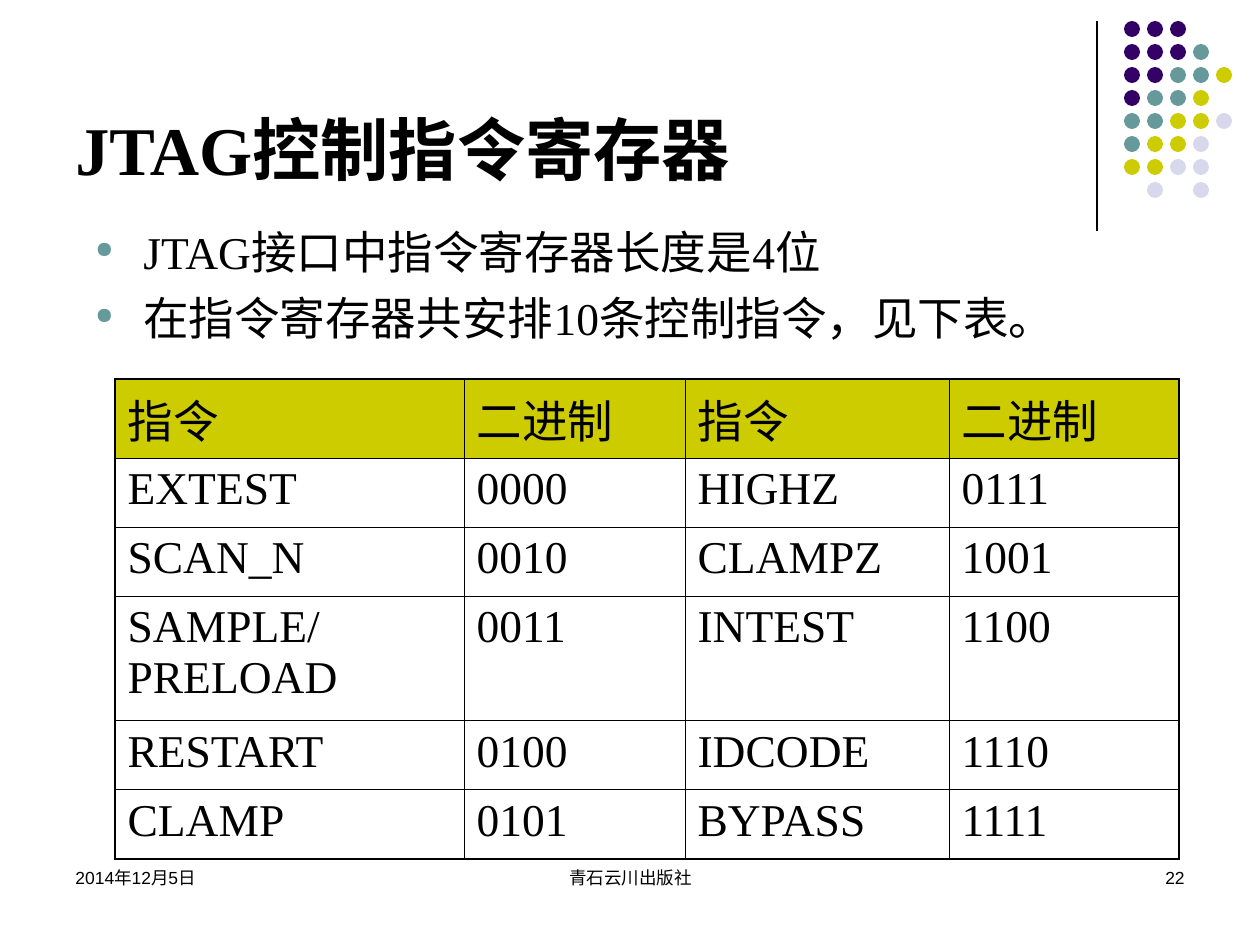
"""Build the slide on the JTAG control instruction register."""
from lxml import etree
from pptx import Presentation
from pptx import util as u
from pptx.dml.color import RGBColor
from pptx.enum import shapes, text
from pptx.oxml import ns

TITLE = "JTAG控制指令寄存器"
POINTS = ["JTAG接口中指令寄存器长度是4位", "在指令寄存器共安排10条控制指令，见下表。"]
INSTRUCTIONS = [
    ("指令", "二进制", "指令", "二进制"),
    ("EXTEST", "0000", "HIGHZ", "0111"),
    ("SCAN_N", "0010", "CLAMPZ", "1001"),
    ("SAMPLE/PRELOAD", "0011", "INTEST", "1100"),
    ("RESTART", "0100", "IDCODE", "1110"),
    ("CLAMP", "0101", "BYPASS", "1111"),
]
FOOTERS = [
    ("青石云川出版社", (431, 861, 399, 63), text.PP_ALIGN.CENTER),
    ("22", (903, 861, 294, 63), text.PP_ALIGN.RIGHT),
    ("2014年12月5日", (63, 861, 294, 63), text.PP_ALIGN.LEFT),
]
DOTS = ["PPP", "PPPT", "PPTTY", "PTTY", "TTYYL", "TYYL", "YYLL", " L L"]
COLORS = {"P": "330066", "T": "669999", "Y": "CCCC00", "L": "D8D8EC", "ink": "000000"}

COLUMN_WIDTHS = [349, 221, 264, 230]
ROW_HEIGHTS = [79, 69, 69, 125, 69, 69]
DOT_LEFT, DOT_TOP, DOT_SIZE, DOT_PITCH = 1124, 21, 16, 23
BULLET_INDENT = 48
INNER_BORDER, OUTER_BORDER = u.Pt(0.45), u.Pt(1.08)

TITLE_FONT = {"name": "Times New Roman", "size": u.Pt(39), "bold": True}
BODY_FONT = {"name": "Times New Roman", "size": u.Pt(26), "bold": False}
FOOTER_FONT = {"name": "Arial", "size": u.Pt(10), "bold": False}


def px(length):
    return round(length * 914400 / 126)


def box(*lengths):
    return [px(length) for length in lengths]


def color(key):
    return RGBColor.from_string(COLORS[key])


def add_xml(parent, tag, **attributes):
    return etree.SubElement(parent, ns.qn(tag), attributes)


def style(paragraph, font):
    for key, value in font.items():
        setattr(paragraph.font, key, value)
    paragraph.font.color.rgb = color("ink")


def add_text(slide, place, lines, font, anchor=text.MSO_ANCHOR.TOP, align=text.PP_ALIGN.LEFT):
    frame = slide.shapes.add_textbox(*box(*place)).text_frame
    frame.word_wrap = True
    frame.vertical_anchor = anchor
    for index, line in enumerate(lines):
        paragraph = frame.add_paragraph() if index else frame.paragraphs[0]
        paragraph.text = line
        paragraph.alignment = align
        if font is BODY_FONT:
            add_bullet(paragraph)
        if index:
            paragraph.space_before = u.Pt(6.5)
        style(paragraph, font)


def add_bullet(paragraph):
    properties = paragraph._p.get_or_add_pPr()
    properties.set("marL", str(px(BULLET_INDENT)))
    properties.set("indent", str(-px(BULLET_INDENT)))
    add_xml(add_xml(properties, "a:buClr"), "a:srgbClr", val=COLORS["T"])
    add_xml(properties, "a:buSzPct", val="50000")
    add_xml(properties, "a:buChar", char="●")


def set_borders(cell, outer_sides):
    properties = cell._tc.get_or_add_tcPr()
    for side in "LRTB":
        width = OUTER_BORDER if side in outer_sides else INNER_BORDER
        border = add_xml(properties, f"a:ln{side}", w=str(width))
        add_xml(add_xml(border, "a:solidFill"), "a:srgbClr", val=COLORS["ink"])


def add_instruction_table(slide):
    row_count, column_count = len(INSTRUCTIONS), len(COLUMN_WIDTHS)
    place = box(115, 379, sum(COLUMN_WIDTHS), sum(ROW_HEIGHTS))
    table = slide.shapes.add_table(row_count, column_count, *place).table
    table.first_row = table.horz_banding = False
    for column, width in zip(table.columns, COLUMN_WIDTHS):
        column.width = px(width)
    for row, height in zip(table.rows, ROW_HEIGHTS):
        row.height = px(height)
    for r, values in enumerate(INSTRUCTIONS):
        for c, value in enumerate(values):
            cell = table.cell(r, c)
            cell.text = value
            style(cell.text_frame.paragraphs[0], BODY_FONT)
            edges = {"L": c == 0, "R": c == column_count - 1, "T": r == 0, "B": r == row_count - 1}
            set_borders(cell, [side for side, outer in edges.items() if outer])
            if r == 0:
                cell.fill.solid()
                cell.fill.fore_color.rgb = color("Y")
            else:
                cell.fill.background()


def add_ornament(slide):
    rule = slide.shapes.add_connector(shapes.MSO_CONNECTOR.STRAIGHT, *box(1097, 21, 1097, 231))
    rule.line.color.rgb = color("ink")
    rule.line.width = u.Pt(0.75)
    add_xml(rule._element.spPr, "a:effectLst")
    dots = slide.shapes.add_group_shape()
    for r, row in enumerate(DOTS):
        for c, key in enumerate(row):
            if key == " ":
                continue
            place = box(DOT_LEFT + c * DOT_PITCH, DOT_TOP + r * DOT_PITCH, DOT_SIZE, DOT_SIZE)
            dot = dots.shapes.add_shape(shapes.MSO_SHAPE.OVAL, *place)
            dot.shadow.inherit = False
            dot.fill.solid()
            dot.fill.fore_color.rgb = color(key)
            dot.line.fill.background()


def main():
    deck = Presentation()
    deck.slide_width, deck.slide_height = box(1260, 945)
    slide = deck.slides.add_slide(deck.slide_layouts[6])
    add_ornament(slide)
    add_text(slide, (63, 16, 998, 179), [TITLE], TITLE_FONT, text.MSO_ANCHOR.BOTTOM)
    add_text(slide, (83, 218, 1075, 140), POINTS, BODY_FONT)
    add_instruction_table(slide)
    for footer, place, align in FOOTERS:
        add_text(slide, place, [footer], FOOTER_FONT, align=align)
    deck.save("out.pptx")


if __name__ == "__main__":
    main()
